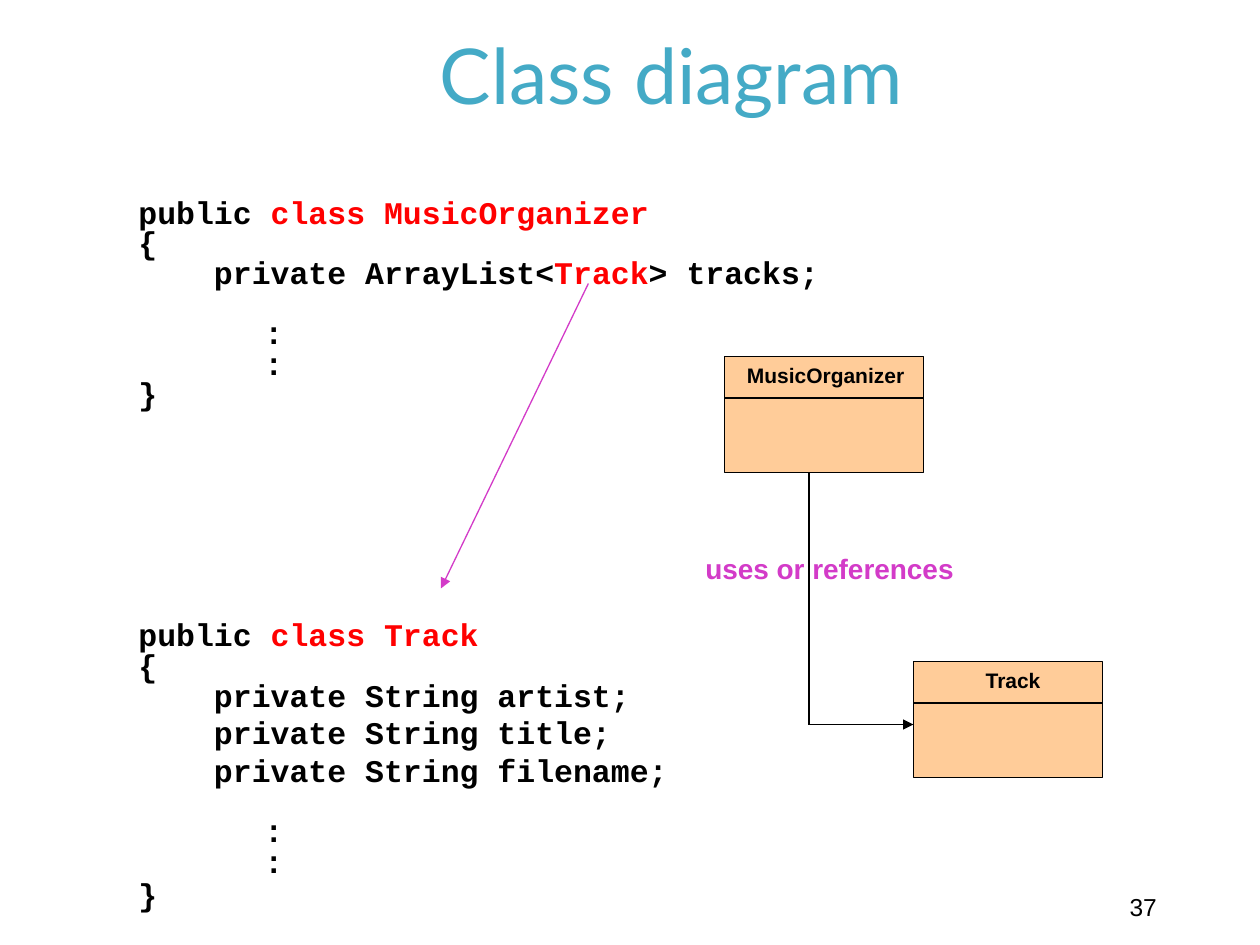
import pptx
import pptx.util
import pptx.dml.color
import pptx.enum.shapes
import pptx.enum.text
import pptx.oxml
import pptx.oxml.ns
from pptx.util import Inches, Pt

ALIGN = pptx.enum.text.PP_ALIGN
ANCHOR = pptx.enum.text.MSO_ANCHOR

THEME = {
    "title": "44AAC6", "text": "000000", "key": "FF0000", "relation": "D33BC8",
    "box": "FFCC99", "paper": "FFFFFF",
    "body_font": "Arial", "code_font": "Courier New", "title_font": "Lato",
    "title_size": 44, "code_size": 18, "label_size": 16, "number_size": 14, "name_size": 12,
    "tight": 17.25, "loose": 21.5,  # code line pitches in points
}

# Content
TITLE = "Class diagram"
PAGE = "37"
RELATION = "uses or references"
MEMBER, DOTS = 0.6, 1.0  # code indents in inches
# Each code line: indent, blank lines before, line pitch, [(text, colour)]
CODE = [
    (0, 0, "tight", [("public ", "text"), ("class MusicOrganizer", "key")]),
    (0, 0, "tight", [("{", "text")]),
    (MEMBER, 0, "tight", [("private ArrayList<", "text"), ("Track", "key"), ("> tracks;", "text")]),
    (DOTS, 1, "tight", [(":", "text")]),
    (DOTS, 0, "tight", [(":", "text")]),
    (0, 0, "tight", [("}", "text")]),
    (0, 7, "tight", [("public ", "text"), ("class Track", "key")]),
    (0, 0, "tight", [("{", "text")]),
    (MEMBER, 0, "tight", [("private String artist;", "text")]),
    (MEMBER, 0, "loose", [("private String title;", "text")]),
    (MEMBER, 0, "loose", [("private String filename;", "text")]),
    (DOTS, 1, "tight", [(":", "text")]),
    (DOTS, 0, "tight", [(":", "text")]),
    (0, 0.1, "tight", [("}", "text")]),
]
# Each class box: name, left, top, width, alignment of the name
CLASSES = [
    ("MusicOrganizer", 5.75, 2.83, 1.58, ALIGN.LEFT),
    ("Track", 7.25, 5.25, 1.5, ALIGN.CENTER),
]
CLASS_HEIGHT, NAME_HEIGHT, NAME_INSET = 0.92, 0.33, 0.08
# Each line: start, end, colour, width, arrow at the end
LINES = [
    ((6.42, 3.75), (6.42, 5.75), "text", 1, False),
    ((6.42, 5.75), (7.25, 5.75), "text", 1, True),
    ((4.67, 2.25), (3.5, 4.67), "relation", 0.75, True),
]


def color(name):
    return pptx.dml.color.RGBColor.from_string(THEME[name])


def style(font, face, size, fill, bold=False):
    font.name, font.size, font.bold = THEME[face], Pt(THEME[size]), bold
    font.color.rgb = color(fill)


def add_box(s, left, top, width, height):
    sp = s.shapes.add_textbox(Inches(left), Inches(top), Inches(width), Inches(height))
    sp.text_frame.word_wrap = True
    return sp.text_frame


def add_label(s, text, place, size, fill="text", bold=True, align=ALIGN.LEFT):
    p = add_box(s, *place).paragraphs[0]
    p.text, p.alignment = text, align
    style(p.font, "body_font", size, fill, bold)


def add_line(s, start, end, fill="text", width=0.75, arrow=False):
    line = s.shapes.add_connector(pptx.enum.shapes.MSO_CONNECTOR.STRAIGHT,
                                  *(Inches(v) for v in start + end))
    line.line.color.rgb, line.line.width = color(fill), Pt(width)
    if arrow:
        tail = pptx.oxml.ns.qn("a:tailEnd")
        line.line._get_or_add_ln().append(line.line._ln.makeelement(tail, {"type": "triangle"}))
    effects = pptx.oxml.ns.qn("a:effectLst")
    line._element.spPr.append(line._element.makeelement(effects, {}))


def add_title(s):
    sp = s.shapes.title
    sp.left, sp.top, sp.width, sp.height = (Inches(v) for v in (1.08, 0.25, 8.5, 0.67))
    sp.fill.solid()
    sp.fill.fore_color.rgb = color("paper")
    tf = sp.text_frame
    tf.text, tf.vertical_anchor = TITLE, ANCHOR.MIDDLE
    tf.auto_size = pptx.enum.text.MSO_AUTO_SIZE.NONE
    p = tf.paragraphs[0]
    p.alignment = ALIGN.CENTER
    style(p.font, "title_font", "title_size", "title")


def add_code(s):
    tf = add_box(s, 1, 1.54, 5.67, 5.7)
    for i, (indent, blanks, pitch, parts) in enumerate(CODE):
        p = tf.add_paragraph() if i else tf.paragraphs[0]
        p.line_spacing = Pt(THEME[pitch])
        p.space_before = Pt(blanks * THEME["tight"])
        p._p.get_or_add_pPr().set("marL", str(Inches(indent)))
        for text, fill in parts:
            r = p.add_run()
            r.text = text
            style(r.font, "code_font", "code_size", fill, True)


def add_class(s, name, left, top, width, align):
    sp = s.shapes.add_shape(pptx.enum.shapes.MSO_SHAPE.RECTANGLE, Inches(left), Inches(top),
                            Inches(width), Inches(CLASS_HEIGHT))
    sp.shadow.inherit = False
    sp.fill.solid()
    sp.fill.fore_color.rgb = color("box")
    sp.line.color.rgb, sp.line.width = color("text"), Pt(0.75)
    add_label(s, name, (left + NAME_INSET, top, width - NAME_INSET, 0.3), "name_size", align=align)
    divider = top + NAME_HEIGHT
    add_line(s, (left, divider), (left + width, divider))


def main():
    prs = pptx.Presentation()
    prs.slide_width, prs.slide_height = Inches(10), Inches(7.5)
    s = prs.slides.add_slide(prs.slide_layouts[5])

    # Title, page number and code
    add_title(s)
    add_label(s, PAGE, (8.75, 7.03, 0.53, 0.33), "number_size", bold=False, align=ALIGN.RIGHT)
    add_code(s)

    # Diagram
    for item in CLASSES:
        add_class(s, *item)
    for item in LINES:
        add_line(s, *item)
    add_label(s, RELATION, (5.5, 4.33, 2.33, 0.37), "label_size", "relation")

    prs.save("out.pptx")


if __name__ == "__main__":
    main()
